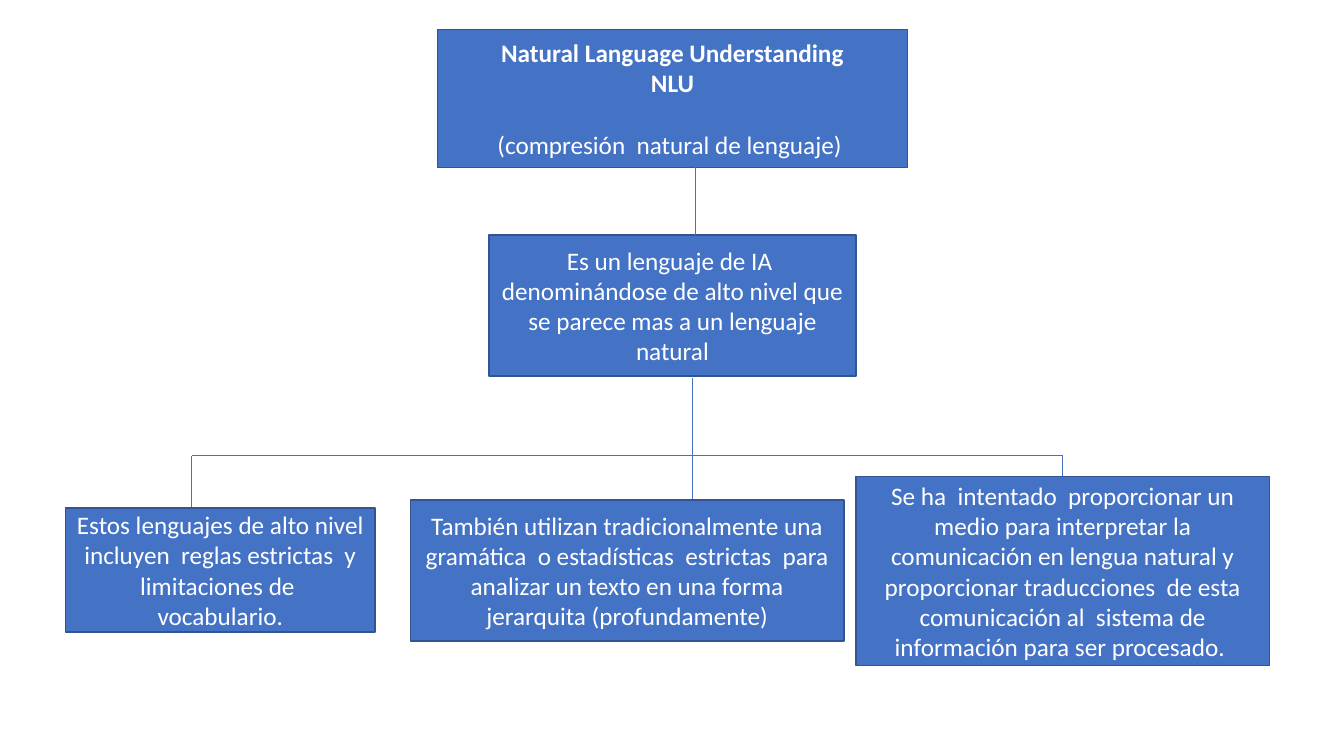
from dataclasses import dataclass

from pptx import Presentation
from pptx.dml.color import RGBColor
from pptx.enum.shapes import MSO_CONNECTOR, MSO_SHAPE
from pptx.enum.text import MSO_ANCHOR, MSO_AUTO_SIZE, PP_ALIGN
from pptx.oxml.ns import qn
from pptx.util import Pt
from lxml.etree import SubElement

PX = 9144  # EMU per px, 100 px to the inch


@dataclass(frozen=True)
class Theme:
    fill: RGBColor = RGBColor(0x44, 0x72, 0xC4)
    edge: RGBColor = RGBColor(0x32, 0x54, 0x91)
    text: RGBColor = RGBColor(0xFF, 0xFF, 0xFF)
    font: str = "Calibri"
    size: int = 18
    rim: float = 1
    wire: float = 0.5
    gap: int = 22  # one line of text


THEME = Theme()


def paint(shape, text):
    """Fill a box and set its centred text."""
    shape.fill.solid()
    shape.fill.fore_color.rgb = THEME.fill
    shape.line.color.rgb = THEME.edge
    shape.line.width = Pt(THEME.rim)
    frame = shape.text_frame
    frame.text = text
    frame.word_wrap = True
    frame.auto_size = MSO_AUTO_SIZE.NONE
    frame.vertical_anchor = MSO_ANCHOR.MIDDLE
    for para in frame.paragraphs:
        para.alignment = PP_ALIGN.CENTER
        for run in para.runs:
            run.font.name = THEME.font
            run.font.size = Pt(THEME.size)
            run.font.color.rgb = THEME.text


def node(slide, box, text):
    shape = slide.shapes.add_shape(MSO_SHAPE.RECTANGLE, *(n * PX for n in box))
    shape.shadow.inherit = False
    paint(shape, text)
    return shape


def wire(slide, *ends):
    line = slide.shapes.add_connector(MSO_CONNECTOR.STRAIGHT, *(n * PX for n in ends))
    line.line.color.rgb = THEME.fill
    line.line.width = Pt(THEME.wire)
    SubElement(line.element.spPr, qn("a:effectLst"))
    return line


def head(slide, box):
    """Title box: two bold lines, then the translation."""
    title = slide.shapes.title
    title.left, title.top, title.width, title.height = (n * PX for n in box)
    paint(title, "Natural Language Understanding\nNLU\n(compresión  natural de lenguaje) ")
    *names, gloss = title.text_frame.paragraphs
    for para in names:
        para.runs[0].font.bold = True
    gloss.space_before = Pt(THEME.gap)


def tree(slide, box):
    """Definition, branch lines and three leaves."""
    x, y, w, h = box
    # Definition
    node(slide, (x + 420, y + 67, 364, 140),
         "Es un lenguaje de IA  denominándose de alto nivel que se parece mas a un lenguaje natural")
    wire(slide, x + 625, y, x + 625, y + 67)
    # Branch lines
    bar = y + 286
    left, stem, right = x + 125, x + 622, x + w - 205
    wire(slide, right, bar, left, bar)
    wire(slide, stem, y + 209, stem, bar)
    wire(slide, left, bar, left, bar + 52)
    wire(slide, stem, bar, stem, bar + 44)
    drop = wire(slide, right, bar, right, bar + 21)
    # Leaves
    node(slide, (x, bar + 52, 307, 123),
         "Estos lenguajes de alto nivel incluyen  reglas estrictas  y limitaciones de  vocabulario.")
    node(slide, (x + 342, bar + 44, 430, 140),
         "También utilizan tradicionalmente una gramática  o estadísticas  estrictas  para "
         "analizar un texto en una forma jerarquita (profundamente)")
    last = node(slide, (x + w - 410, bar + 21, 410, h - 307),
                "Se ha  intentado  proporcionar un medio para interpretar la comunicación en "
                "lengua natural y proporcionar traducciones  de esta comunicación al  sistema de "
                "información para ser procesado. ")
    drop.end_connect(last, 0)


def main():
    deck = Presentation()
    deck.slide_width, deck.slide_height = 1333 * PX, 750 * PX
    slide = deck.slides.add_slide(deck.slide_layouts[5])
    head(slide, (434, 29, 466, 137))
    tree(slide, (65, 166, 1194, 494))
    deck.save("out.pptx")


if __name__ == "__main__":
    main()
